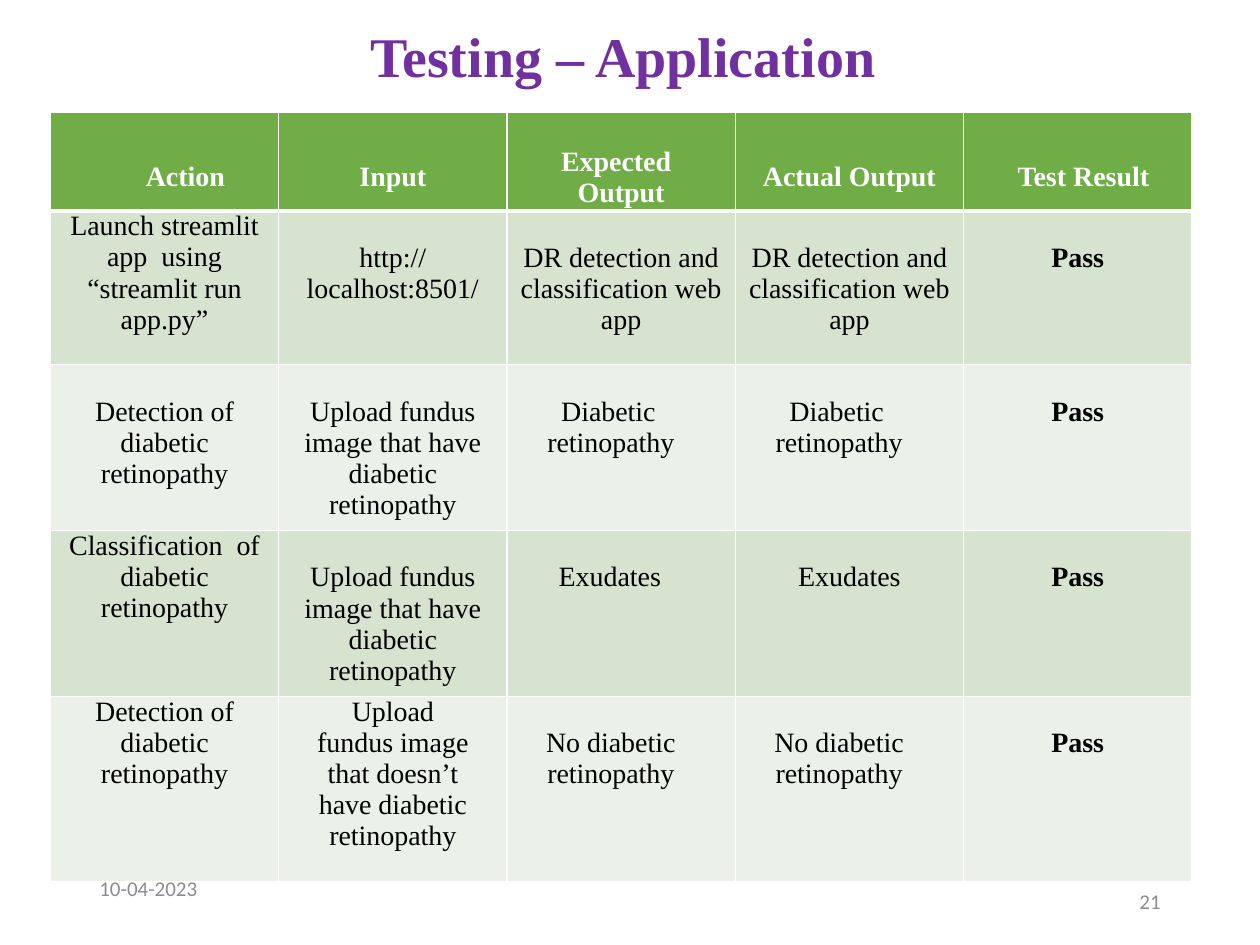
from lxml import etree
from pptx import Presentation
from pptx.dml.color import RGBColor
from pptx.enum.text import MSO_ANCHOR, PP_ALIGN
from pptx.oxml.ns import qn
from pptx.util import Inches, Pt

LEFT, MID, RIGHT = PP_ALIGN.LEFT, PP_ALIGN.CENTER, PP_ALIGN.RIGHT
CENTER = MSO_ANCHOR.MIDDLE
SERIF, SANS = "Times New Roman", "Calibri"
HEX = {"title": "7030A0", "head": "70AD47", "odd": "D5E3CF", "even": "EBF1E9",
       "white": "FFFFFF", "black": "000000", "gray": "8C8C8C"}

TITLE = "Testing – Application "
DATE, PAGE = "10-04-2023", "21"
LINE = 0.25
COL = 9.06 / 5
ROWS = [0.78, 1.22, 1.29, 1.29, 1.47]

WEB = ("DR detection and classification web app", 0.09)
FUNDUS = ("Upload fundus image that have diabetic retinopathy", 0.13)
DETECT = ("Detection of diabetic retinopathy", 0.07)
FOUND = ("Diabetic retinopathy", 0.32, 0.11, LEFT)
NONE = ("No diabetic retinopathy", 0.32, -0.01, LEFT)
PASS = ("Pass", 0.34)
CELLS = [
    [("Action", 0.33), ("Input", 0.06), ("Expected Output", 0.46, -0.08),
     ("Actual Output", 0.15), ("Test Result", 0.26, 0.09)],
    [("Launch streamlit app  using “streamlit run app.py”", 0.1),
     ("http://localhost:8501/", 0.06), WEB, WEB, PASS],
    [DETECT, FUNDUS, FOUND, FOUND, PASS],
    [("Classification  of diabetic retinopathy", 0.07), FUNDUS,
     ("Exudates", 0.41, 0, LEFT), ("Exudates", 0.15), PASS],
    [DETECT, ("Upload fundus image that doesn’t have diabetic retinopathy", 0.27),
     NONE, NONE, PASS],
]
TOP = {(1, 0), (3, 0), (4, 0), (4, 1)}


def style(par, face, size, tone, align, bold=False):
    par.alignment = align
    font = par.font
    font.name, font.size, font.bold = face, Pt(size), bold
    font.color.rgb = RGBColor.from_string(HEX[tone])


def edge(cell, side, width):
    line = etree.SubElement(cell._tc.get_or_add_tcPr(), qn("a:" + side), w=str(Pt(width)))
    fill = etree.SubElement(line, qn("a:solidFill"))
    etree.SubElement(fill, qn("a:srgbClr"), val=HEX["white"])


def fill_cell(cell, row, col, text, pad, first=0, align=MID):
    head = row == 0
    for side in ("lnL", "lnR", "lnT", "lnB"):
        thick = (head and side == "lnB") or (row == 1 and side == "lnT")
        edge(cell, side, 3 if thick else 1)
    cell.fill.solid()
    tone = "head" if head else ("odd" if row % 2 else "even")
    cell.fill.fore_color.rgb = RGBColor.from_string(HEX[tone])
    cell.margin_left = cell.margin_bottom = 0
    cell.margin_right = 0 if (row, col) == (0, 0) else Inches(pad)
    cell.margin_top = 0 if (row, col) in TOP else Inches(LINE)
    if head:
        cell.vertical_anchor = CENTER
    cell.text = text
    par = cell.text_frame.paragraphs[0]
    style(par, SERIF, 16, "white" if head else "black", align, head or text == "Pass")
    props = par._p.get_or_add_pPr()
    props.set("marL", str(Inches(pad)))
    props.set("indent", str(Inches(first)))


def note(slide, text, left, align, low):
    box = slide.shapes.add_textbox(Inches(left), Inches(6.95), Inches(2.25), Inches(0.4))
    frame = box.text_frame
    frame.word_wrap, frame.vertical_anchor = True, CENTER
    frame.margin_bottom = Inches(low)
    frame.text = text
    style(frame.paragraphs[0], SANS, 12, "gray", align)


def main():
    deck = Presentation()
    deck.slide_width, deck.slide_height = Inches(10), Inches(7.5)
    slide = deck.slides.add_slide(deck.slide_layouts[5])

    title = slide.shapes.title
    title.left, title.top = Inches(0.69), Inches(0.18)
    title.width, title.height = Inches(8.62), Inches(0.58)
    title.text = TITLE
    title.text_frame.vertical_anchor = CENTER
    par = title.text_frame.paragraphs[0]
    style(par, SERIF, 32, "title", MID, True)
    par.line_spacing = 0.9

    note(slide, DATE, 0.69, LEFT, 0.25)
    note(slide, PAGE, 7.06, RIGHT, 0.05)

    table = slide.shapes.add_table(len(ROWS), 5, Inches(0.4), Inches(0.89),
                                   Inches(COL * 5), Inches(sum(ROWS))).table
    for col in table.columns:
        col.width = Inches(COL)
    for r, (high, row) in enumerate(zip(ROWS, CELLS)):
        table.rows[r].height = Inches(high)
        for c, item in enumerate(row):
            fill_cell(table.cell(r, c), r, c, *item)
    deck.save("out.pptx")


if __name__ == "__main__":
    main()
